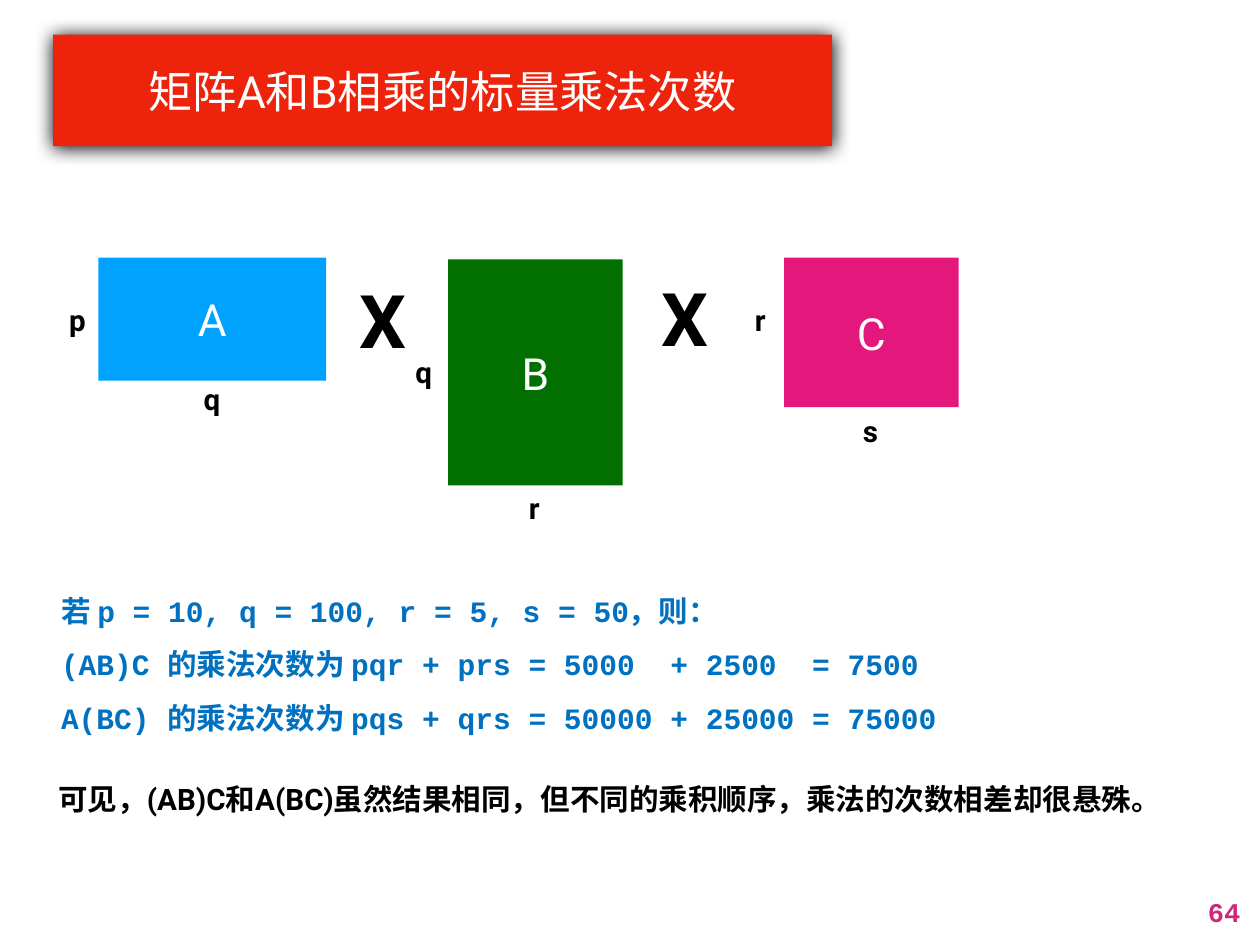
from dataclasses import dataclass

from lxml.etree import SubElement
from pptx import Presentation
from pptx.dml.color import RGBColor
from pptx.enum.shapes import MSO_SHAPE
from pptx.enum.text import MSO_ANCHOR, MSO_AUTO_SIZE, PP_ALIGN
from pptx.oxml.ns import qn
from pptx.shapes.autoshape import Shape
from pptx.slide import Slide
from pptx.util import Cm, Pt

COLORS = {
    "title": "EE230C",
    "white": "FFFFFF",
    "black": "000000",
    "formula": "0070C0",
    "number": "CB2A7A",
    "A": "00A2FF",
    "B": "027001",
    "C": "E4177D",
}
SANS = "Roboto"
MONO = "Courier New"


@dataclass
class Matrix:
    name: str
    left: float
    top: float
    width: float
    height: float


@dataclass
class Label:
    text: str
    left: float
    top: float
    width: float
    height: float = 1.27
    size: int = 24
    color: str = "black"
    font: str = SANS
    align: PP_ALIGN = PP_ALIGN.LEFT
    anchor: MSO_ANCHOR = MSO_ANCHOR.MIDDLE
    spacing: float = 1.0
    wrap: bool = False
    inset: float = 0.15


MATRICES = [
    Matrix("A", 2.82, 7.39, 6.53, 3.53),
    Matrix("B", 12.85, 7.44, 5, 6.48),
    Matrix("C", 22.48, 7.39, 5, 4.29),
]

FORMULAS = "\n".join([
    "若 p = 10, q = 100, r = 5, s = 50，则：",
    "(AB)C 的乘法次数为 pqr + prs = 5000  + 2500  = 7500",
    "A(BC) 的乘法次数为 pqs + qrs = 50000 + 25000 = 75000",
])
CONCLUSION = "可见，(AB)C和A(BC)虽然结果相同，但不同的乘积顺序，乘法的次数相差却很悬殊。"

LABELS = [
    Label("X", 10.16, 7.75, 1.73, 2.82, size=60),
    Label("X", 18.8, 7.67, 1.73, 2.82, size=60),
    Label("p", 1.83, 8.53, 0.84),
    Label("q", 5.69, 10.8, 0.84),
    Label("q", 11.76, 10.03, 0.84),
    Label("r", 15.01, 13.92, 0.64),
    Label("r", 21.49, 8.51, 0.61, 1.32),
    Label("s", 24.59, 11.68, 0.76, 1.32),
    Label(FORMULAS, 1.6, 16.43, 32.51, 4.72, color="formula", font=MONO,
          spacing=1.5, wrap=True),
    Label(CONCLUSION, 1.52, 22.25, 32.49, 1.32, wrap=True),
    Label("64", 34.42, 25.5, 1.32, size=22, color="number", font=MONO,
          align=PP_ALIGN.RIGHT, anchor=MSO_ANCHOR.TOP, inset=0.18),
]


def rgb(name: str) -> RGBColor:
    return RGBColor.from_string(COLORS[name])


def set_text(sp: Shape, text: str, size: int, color: str, font: str = SANS,
             bold: bool = False, align: PP_ALIGN = PP_ALIGN.CENTER,
             anchor: MSO_ANCHOR = MSO_ANCHOR.MIDDLE, spacing: float = 1.0,
             wrap: bool = True, inset: float = 0.15) -> None:
    tf = sp.text_frame
    tf.text = text
    tf.word_wrap = wrap
    tf.auto_size = MSO_AUTO_SIZE.NONE
    tf.vertical_anchor = anchor
    tf.margin_left = tf.margin_right = Cm(inset)
    tf.margin_top = tf.margin_bottom = Cm(inset)
    for p in tf.paragraphs:
        p.alignment = align
        p.line_spacing = spacing
        for r in p.runs:
            r.font.name = font
            r.font.size = Pt(size)
            r.font.bold = bold
            r.font.color.rgb = rgb(color)


def fill_shape(sp: Shape, color: str) -> None:
    sp.fill.solid()
    sp.fill.fore_color.rgb = rgb(color)
    sp.line.fill.background()


def add_shadow(sp: Shape) -> None:
    effects = SubElement(sp.element.spPr, qn("a:effectLst"))
    shadow = SubElement(effects, qn("a:outerShdw"), blurRad=str(Pt(15)),
                        dist=str(Pt(0.7)), dir="5400000", rotWithShape="0")
    SubElement(shadow, qn("a:srgbClr"), val=COLORS["black"])


def format_title(s: Slide) -> None:
    sp = s.shapes.title
    sp.left, sp.top, sp.width, sp.height = Cm(1.52), Cm(0.99), Cm(22.33), Cm(3.2)
    fill_shape(sp, "title")
    add_shadow(sp)
    set_text(sp, "矩阵A和B相乘的标量乘法次数", 36, "white", inset=0.18)


def add_matrix(s: Slide, m: Matrix) -> None:
    sp = s.shapes.add_shape(MSO_SHAPE.RECTANGLE, Cm(m.left), Cm(m.top),
                            Cm(m.width), Cm(m.height))
    sp.shadow.inherit = False
    fill_shape(sp, m.name)
    set_text(sp, m.name, 36, "white")


def add_label(s: Slide, l: Label) -> None:
    sp = s.shapes.add_textbox(Cm(l.left), Cm(l.top), Cm(l.width), Cm(l.height))
    set_text(sp, l.text, l.size, l.color, l.font, True, l.align, l.anchor,
             l.spacing, l.wrap, l.inset)


def main() -> None:
    prs = Presentation()
    prs.slide_width, prs.slide_height = Cm(36.12), Cm(27.1)
    s = prs.slides.add_slide(prs.slide_layouts[5])
    format_title(s)
    for m in MATRICES:
        add_matrix(s, m)
    for l in LABELS:
        add_label(s, l)
    prs.save("out.pptx")


if __name__ == "__main__":
    main()
